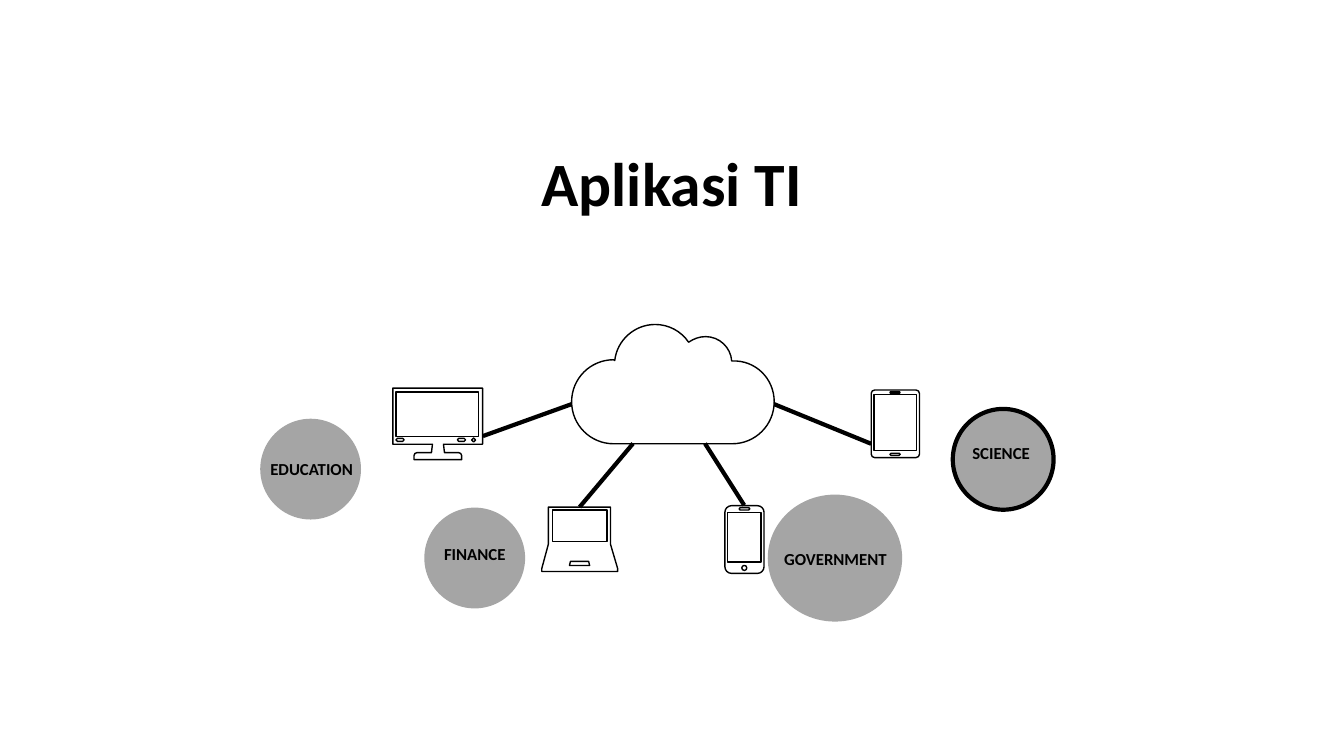
import math

import lxml.etree
import pptx
import pptx.dml.color
import pptx.enum.shapes
import pptx.enum.text
import pptx.oxml.ns
import pptx.util

Pt = pptx.util.Pt
qn = pptx.oxml.ns.qn
Shape = pptx.enum.shapes.MSO_SHAPE
Anchor = pptx.enum.text.MSO_ANCHOR

BLACK = pptx.dml.color.RGBColor(0x00, 0x00, 0x00)
WHITE = pptx.dml.color.RGBColor(0xFF, 0xFF, 0xFF)
GREY = pptx.dml.color.RGBColor(0xA5, 0xA5, 0xA5)

THIN, THICK = 1, 3


def arc(center_x, center_y, radius, start, end):
    """One cubic curve (two controls, then the end), clockwise from the right."""
    start, end = math.radians(start), math.radians(end)
    reach = 4 / 3 * math.tan((end - start) / 4)
    points = []
    for angle, pull in ((start, reach), (end, -reach), (end, 0)):
        points += [center_x + radius * (math.cos(angle) - pull * math.sin(angle)),
                   center_y + radius * (math.sin(angle) + pull * math.cos(angle))]
    return tuple(points)


def rectangle(left, top, right, bottom):
    return [(left, top), (right, top), (right, bottom), (left, bottom)]


def rounded(left, top, right, bottom, radius):
    """A rounded rectangle; sides without length are left out."""
    top_left, top_right, low_right, low_left = rectangle(
        left + radius, top + radius, right - radius, bottom - radius)
    contour = [(right - radius, top), arc(*top_right, radius, 270, 360)]
    if bottom - top > 2 * radius:
        contour.append((right, bottom - radius))
    contour.append(arc(*low_right, radius, 0, 90))
    if right - left > 2 * radius:
        contour.append((left + radius, bottom))
    contour.append(arc(*low_left, radius, 90, 180))
    if bottom - top > 2 * radius:
        contour.append((left, top + radius))
    return contour + [arc(*top_left, radius, 180, 270)]


def pill(left, top, right, bottom):
    return rounded(left, top, right, bottom, (bottom - top) / 2)


CLOUD = [
    [(468, 231.8), arc(468, 260.6, 28.8, 270, 326),
     arc(504, 259.2, 18.7, 230, 270), arc(504, 259.2, 18.7, 270, 356),
     arc(523, 287, 30, 270, 360), arc(523, 287, 30, 0, 90), (438.3, 317),
     arc(438.3, 287, 30, 90, 180), arc(438.3, 287, 30, 180, 270),
     (439.1, 257.6), arc(468, 260.6, 28.8, 185.5, 270)],
]
LAPTOP = [
    [(407.5, 401), (406.8, 403.9), (421.2, 403.9), (420.5, 401)],
    rectangle(394.5, 364.3, 433.5, 386.6),
    [(391.7, 362.2), (436.1, 362.2), (436.1, 388.8), (441.2, 406.1),
     (441.2, 408.2), (387, 408.2), (387, 406.1), (391.7, 388.8)],
]
PHONE = [
    pill(529.9, 403.9, 533.5, 407.5),
    rectangle(519.6, 366, 543.6, 401.4),
    pill(527.9, 362.6, 535.7, 364.3),
    rounded(517.8, 361.2, 545.8, 409.6, 4.8),
]
MONITOR = [
    pill(326.7, 313.1, 332.6, 315.3),
    pill(282.8, 313.1, 288.7, 315.3),
    pill(336.9, 312.9, 339.7, 315.7),
    rectangle(282.8, 279.9, 342, 311.8),
    [(280.6, 277.2), (344.7, 277.2), (344.7, 317.3), (316.8, 317.3),
     (317.5, 323.3), (327.6, 323.3), arc(327.6, 325.5, 2.2, 270, 360),
     (329.8, 328.3), (295.7, 328.3), (295.7, 325.5),
     arc(297.9, 325.5, 2.2, 180, 270), (308.2, 323.3), (308.9, 317.3),
     (280.6, 317.3)],
]
TABLET = [
    pill(635.7, 323.8, 643, 325.3),
    rectangle(624.3, 282, 654.7, 321.8),
    pill(635.7, 279.8, 643, 281),
    rounded(622.3, 278.6, 656.8, 326.9, 2.5),
]

CLOUD_LINKS = [
    (408.3, 288.7, 344.9, 311.5),
    (553, 288.7, 622.3, 317),
    (452.2, 316.8, 414, 362.2),
    (503.6, 316.8, 531.6, 360.9),
]
# left, top, width, height, outline width
FIELD_CIRCLES = [
    (185.9, 299.1, 72, 72, 0),
    (303.1, 362.6, 72, 72, 0),
    (548.4, 353.3, 96, 90.7, 0),
    (680.6, 292.1, 72, 72, THICK),
]
FIELD_LABELS = [
    ("EDUCATION", 175.8, 324, 93.6),
    ("FINANCE", 304.3, 385.2, 69.8),
    ("GOVERNMENT", 537.8, 388.1, 118.1),
    ("SCIENCE", 680.2, 312.9, 69.8),
]


class Painter:
    font_format = {"name": "Calibri", "bold": True}
    frame_format = {"word_wrap": True}

    def __init__(self, page):
        self.shapes = page.shapes

    @staticmethod
    def apply(target, values):
        for name, value in values.items():
            setattr(target, name, value)

    def finish(self, shape, fill, line_width):
        shape.shadow.inherit = False
        shape.fill.solid()
        shape.fill.fore_color.rgb = fill
        if line_width:
            self.ink(shape, line_width)
        else:
            shape.line.fill.background()

    def ink(self, shape, width):
        shape.line.color.rgb = BLACK
        shape.line.width = Pt(width)

    def outline(self, contours):
        """Draw one freeform of closed contours; six-number steps become curves."""
        scaled = [[tuple(map(Pt, step)) for step in contour] for contour in contours]
        builder = self.shapes.build_freeform(*scaled[0][0])
        for index, (first, *steps) in enumerate(scaled):
            if index:
                builder.move_to(*first)
            builder.add_line_segments([step[-2:] for step in steps], close=True)
        shape = builder.convert_to_shape()
        all_steps = [step for contour in scaled for step in contour[1:]]
        segments = list(shape._element.iter(qn("a:lnTo")))
        for segment, step in zip(segments, all_steps):
            if len(step) == 6:
                segment.tag = qn("a:cubicBezTo")
                for place in (0, 1):
                    x, y = step[2 * place:2 * place + 2]
                    control = lxml.etree.Element(
                        qn("a:pt"), x=str(x - shape.left), y=str(y - shape.top))
                    segment.insert(place, control)
        self.finish(shape, WHITE, THIN)

    def link(self, *ends):
        straight = pptx.enum.shapes.MSO_CONNECTOR.STRAIGHT
        connector = self.shapes.add_connector(straight, *map(Pt, ends))
        self.ink(connector, THICK)
        lxml.etree.SubElement(connector._element.spPr, qn("a:effectLst"))

    def circle(self, left, top, width, height, line_width):
        bounds = map(Pt, (left, top, width, height))
        self.finish(self.shapes.add_shape(Shape.OVAL, *bounds), GREY, line_width)

    def text(self, words, left, top, width, height=21.6, size=12,
             anchor=Anchor.TOP, spacing=1.0):
        box = self.shapes.add_textbox(*map(Pt, (left, top, width, height)))
        frame = box.text_frame
        self.apply(frame, {**self.frame_format, "vertical_anchor": anchor})
        para = frame.paragraphs[0]
        self.apply(para, {"alignment": pptx.enum.text.PP_ALIGN.CENTER,
                          "line_spacing": spacing})
        span = para.add_run()
        span.text = words
        self.apply(span.font, {**self.font_format, "size": Pt(size)})
        span.font.color.rgb = BLACK


def main():
    deck = pptx.Presentation()
    deck.slide_width, deck.slide_height = Pt(960), Pt(540)
    painter = Painter(deck.slides.add_slide(deck.slide_layouts[6]))
    painter.text("Aplikasi TI", 66, 81.1, 828, 104.4, size=44,
                 anchor=Anchor.MIDDLE, spacing=0.9)
    for contours in (CLOUD, LAPTOP, PHONE, MONITOR, TABLET):
        painter.outline(contours)
    for ends in CLOUD_LINKS:
        painter.link(*ends)
    for circle in FIELD_CIRCLES:
        painter.circle(*circle)
    for label in FIELD_LABELS:
        painter.text(*label)
    deck.save("out.pptx")


if __name__ == "__main__":
    main()
